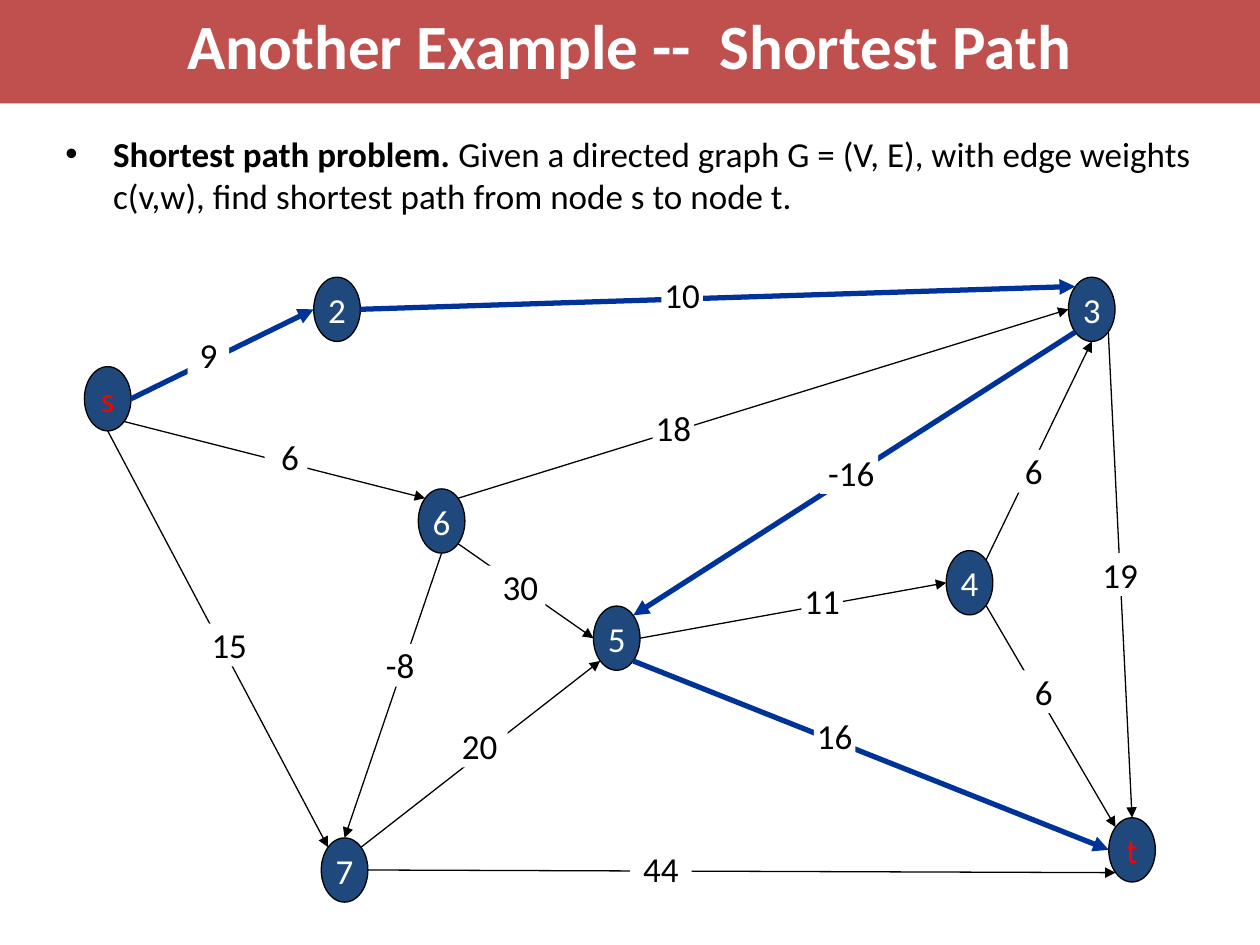
"""Build a slide showing a shortest path through a weighted directed graph."""
from lxml.etree import SubElement
from pptx import Presentation
from pptx.dml.color import RGBColor
from pptx.enum.shapes import MSO_CONNECTOR, MSO_SHAPE
from pptx.enum.text import MSO_ANCHOR, PP_ALIGN
from pptx.oxml.ns import qn
from pptx.util import Inches, Pt

COLORS = {"banner": "C0504D", "node": "1F497D", "path": "003399",
          "black": "000000", "white": "FFFFFF", "terminal": "FF0000"}
FONT = "Calibri"
TITLE = "Another Example --  Shortest Path"
PROBLEM = [
    ("Shortest path problem. ", True),
    ("Given a directed graph G = (V, E), with edge weights c(v,w), "
     "find shortest path from node s to node t.", False),
]
NODE_WIDTH, NODE_HEIGHT = 0.37, 0.51
NODES = {
    "s": (0.67, 2.91), "3": (8.48, 2.2), "t": (8.8, 6.49), "2": (2.49, 2.2),
    "6": (3.32, 3.88), "7": (2.55, 6.65), "4": (7.51, 4.37), "5": (4.71, 4.81),
}
TERMINALS = ("s", "t")
DIAGONAL = 0.71
SIDES = {
    "top": (0, -1), "bottom": (0, 1), "left": (-1, 0), "right": (1, 0),
    "top left": (-DIAGONAL, -DIAGONAL), "top right": (DIAGONAL, -DIAGONAL),
    "bottom left": (-DIAGONAL, DIAGONAL), "bottom right": (DIAGONAL, DIAGONAL),
}
SHORTEST = {("s", "2"), ("2", "3"), ("3", "5"), ("5", "t")}
EDGES = [
    ("s", "right", "2", "left", "9", (1.49, 2.65, 0.33)),
    ("s", "bottom right", "6", "top left", " 6", (2.1, 3.46, 0.34)),
    ("s", "bottom", "7", "top left", "15", (1.65, 4.95, 0.34)),
    ("6", "top right", "3", "left", "18", (5.18, 3.23, 0.33)),
    ("4", "top right", "3", "bottom", "6", (8.04, 3.57, 0.33)),
    ("6", "bottom right", "5", "left", " 30", (3.87, 4.49, 0.46)),
    ("5", "bottom right", "t", "left", "16", (6.46, 5.67, 0.33)),
    ("5", "right", "4", "left", "11", (6.36, 4.6, 0.33)),
    ("4", "bottom right", "t", "top left", "6", (8.12, 5.32, 0.33)),
    ("3", "bottom left", "5", "top right", " -16", (6.51, 3.58, 0.46)),
    ("6", "bottom", "7", "top", " -8", (2.98, 5.11, 0.33)),
    ("7", "top right", "5", "bottom left", " 20", (3.52, 5.75, 0.51)),
    ("2", "right", "3", "top left", "10", (5.25, 2.17, 0.33)),
    ("7", "right", "t", "bottom left", "44", (5, 6.73, 0.49)),
    ("3", "bottom right", "t", "top", "19", (8.72, 4.39, 0.34)),
]
LABEL_HEIGHT = 0.34


def color(name):
    return RGBColor.from_string(COLORS[name])


def add_span(paragraph, text, size, shade, bold=False):
    span = paragraph.add_run()
    span.text = text
    span.font.name = FONT
    span.font.size = Pt(size)
    span.font.bold = bold
    span.font.color.rgb = color(shade)


def add_box(page, kind, place, fill, outline=None):
    box = page.shapes.add_shape(kind, *map(Inches, place))
    box.shadow.inherit = False
    box.fill.solid()
    box.fill.fore_color.rgb = color(fill)
    if outline:
        box.line.color.rgb = color(outline)
        box.line.width = Pt(0.75)
    else:
        box.line.fill.background()
    return box


def add_title(page):
    add_box(page, MSO_SHAPE.RECTANGLE, (-0.02, 0, 10.02, 0.82), "banner")
    frame = page.shapes.add_textbox(*map(Inches, (1.27, 0, 7.45, 0.71))).text_frame
    frame.word_wrap = False
    frame.vertical_anchor = MSO_ANCHOR.MIDDLE
    paragraph = frame.paragraphs[0]
    paragraph.alignment = PP_ALIGN.CENTER
    add_span(paragraph, TITLE, 36, "white", True)


def add_problem(page):
    frame = page.shapes.add_textbox(*map(Inches, (0.42, 1, 9.25, 3.13))).text_frame
    frame.word_wrap = True
    paragraph = frame.paragraphs[0]
    properties = paragraph._p.get_or_add_pPr()
    properties.set("marL", str(Inches(0.38)))
    properties.set("indent", str(-Inches(0.38)))
    SubElement(properties, qn("a:buFont"), typeface="Arial")
    SubElement(properties, qn("a:buChar"), char="•")
    for text, bold in PROBLEM:
        add_span(paragraph, text, 20, "black", bold)


def add_node(page, name):
    place = (*NODES[name], NODE_WIDTH, NODE_HEIGHT)
    frame = add_box(page, MSO_SHAPE.OVAL, place, "node", "black").text_frame
    frame.word_wrap = False
    frame.vertical_anchor = MSO_ANCHOR.MIDDLE
    paragraph = frame.paragraphs[0]
    paragraph.alignment = PP_ALIGN.CENTER
    add_span(paragraph, name, 20, "terminal" if name in TERMINALS else "white")


def node_point(name, side):
    left, top = NODES[name]
    across, down = SIDES[side]
    return (Inches(left + NODE_WIDTH * (1 + across) / 2),
            Inches(top + NODE_HEIGHT * (1 + down) / 2))


def add_edge(page, start, start_side, end, end_side):
    shortest = (start, end) in SHORTEST
    edge = page.shapes.add_connector(
        MSO_CONNECTOR.STRAIGHT, *node_point(start, start_side), *node_point(end, end_side))
    edge.line.color.rgb = color("path" if shortest else "black")
    edge.line.width = Pt(3 if shortest else 0.75)
    SubElement(edge.line._get_or_add_ln(), qn("a:tailEnd"), type="triangle")
    SubElement(edge._element.spPr, qn("a:effectLst"))


def add_weight(page, weight, place):
    box = add_box(page, MSO_SHAPE.RECTANGLE, (*place, LABEL_HEIGHT), "white")
    frame = box.text_frame
    frame.word_wrap = True
    frame.vertical_anchor = MSO_ANCHOR.TOP
    frame.margin_left = frame.margin_right = frame.margin_top = frame.margin_bottom = 0
    paragraph = frame.paragraphs[0]
    paragraph.alignment = PP_ALIGN.LEFT if weight == " -16" else PP_ALIGN.CENTER
    add_span(paragraph, weight, 20, "black")


def main():
    deck = Presentation()
    deck.slide_width, deck.slide_height = Inches(10), Inches(7.5)
    page = deck.slides.add_slide(deck.slide_layouts[6])
    add_title(page)
    add_problem(page)
    for name in NODES:
        add_node(page, name)
    for *ends, _, _ in EDGES:
        add_edge(page, *ends)
    for *_, weight, place in EDGES:
        add_weight(page, weight, place)
    deck.save("out.pptx")


if __name__ == "__main__":
    main()
